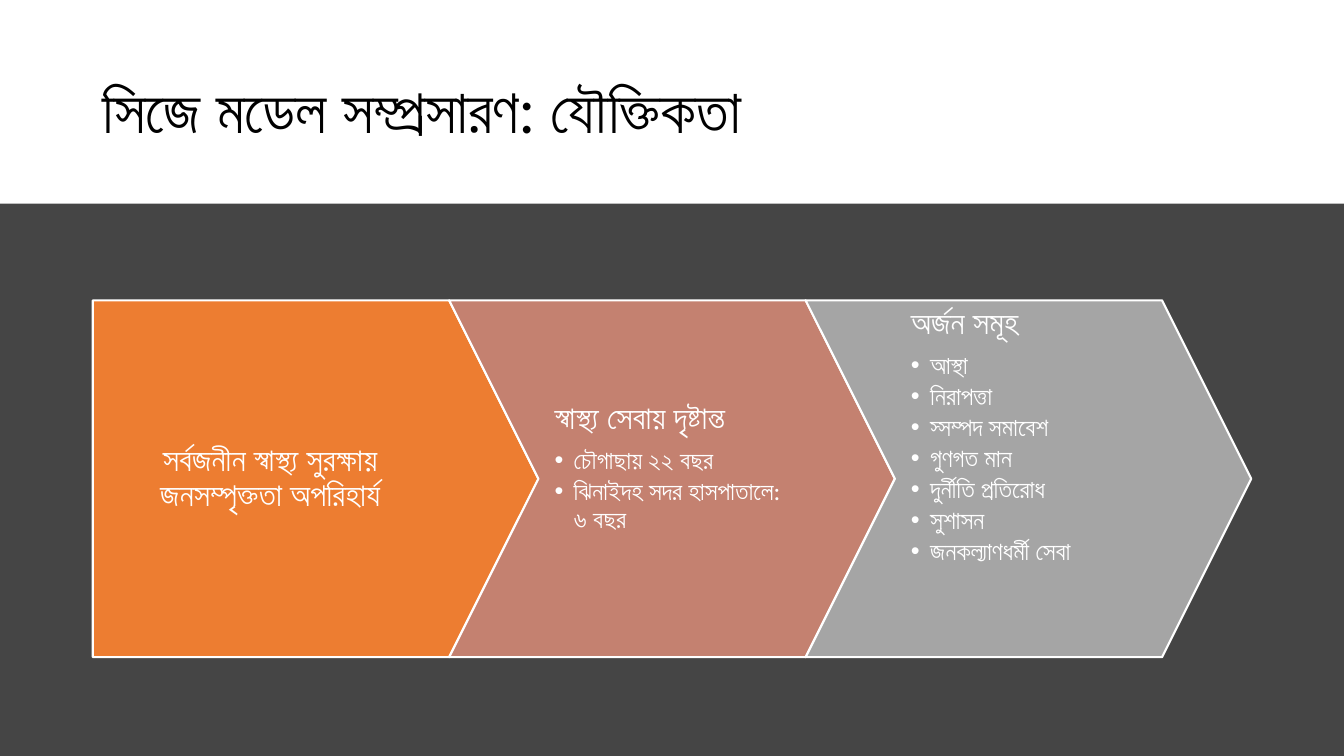
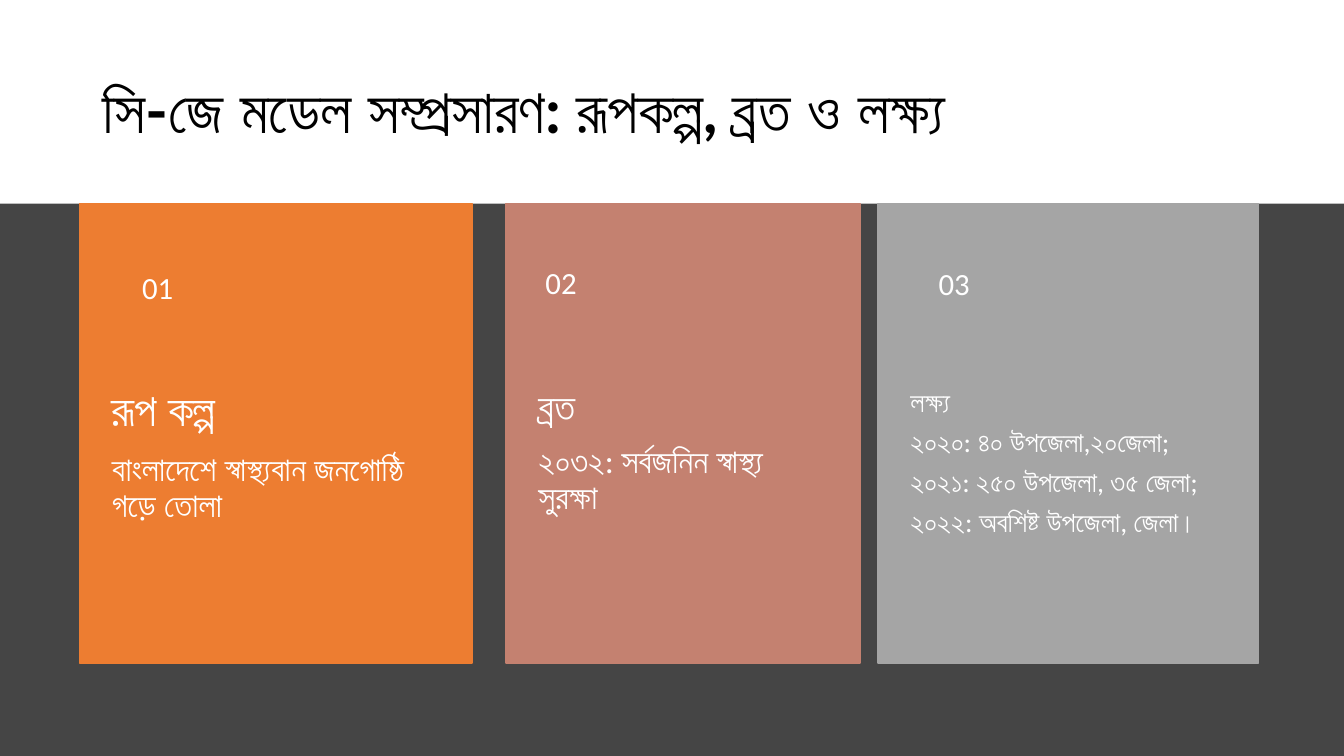
from dataclasses import dataclass

from lxml import etree
from pptx import Presentation
from pptx import util as u
from pptx.dml.color import RGBColor
from pptx.enum import shapes, text
from pptx.oxml.ns import qn

WHITE, BLACK, CHARCOAL = "FFFFFF", "000000", "454545"
ORANGE, ROSE, GRAY = "ED7D31", "C48170", "A5A5A5"
TITLE_FONT, BODY_FONT = "Lato", "Calibri"
TITLE_BOX = (0.92, 0.4, 11.5, 1.45)
BAND_BOX = (0, -0.01, 13.33, 2.03)
LINE_SPACING = 0.9

ARROW_LEFT, ARROW_TOP, ARROW_WIDTH, ARROW_HEIGHT = 0.92, 2.98, 4.42, 3.54
ARROW_POINT = 0.25
ARROW_STEP = ARROW_WIDTH - ARROW_POINT * ARROW_HEIGHT
CARD_TOP, CARD_HEIGHT = 2.02, 4.56
CARD_INSETS = (0.32, 1.83, 0.32, 0.36)
NUMBER_INSETS = (0.32, 0.18, 0.32, 0.18)
NUMBER_SIZE = (3.2, 0.85)


@dataclass(frozen=True)
class Line:
    words: str
    size: float
    bold: bool = False
    bullet: bool = False
    centered: bool = False


@dataclass(frozen=True)
class Arrow:
    preset: shapes.MSO_SHAPE
    color: str
    insets: tuple[float, float, float, float]
    lines: list[Line]
    anchor: text.MSO_ANCHOR = text.MSO_ANCHOR.TOP


@dataclass(frozen=True)
class Card:
    left: float
    width: float
    color: str
    number: str
    number_left: float
    number_top: float
    lines: list[Line]


def bullets(*items: str) -> list[Line]:
    return [Line(item, 18, bullet=True) for item in items]


ARROWS = [
    Arrow(shapes.MSO_SHAPE.PENTAGON, ORANGE, (0.16, 0.06, 0.62, 0.06),
          [Line("সর্বজনীন স্বাস্থ্য সুরক্ষায় জনসম্পৃক্ততা অপরিহার্য", 23, centered=True)],
          text.MSO_ANCHOR.MIDDLE),
    Arrow(shapes.MSO_SHAPE.CHEVRON, ROSE, (0.16, 1.01, 0.16, 0.06),
          [Line("স্বাস্থ্য সেবায় দৃষ্টান্ত", 23),
           *bullets("চৌগাছায় ২২ বছর", "ঝিনাইদহ সদর হাসপাতালে: ৬ বছর")]),
    Arrow(shapes.MSO_SHAPE.CHEVRON, GRAY, (0.16, 0.06, 0.16, 0.06),
          [Line("অর্জন সমূহ", 23),
           *bullets("আস্থা", "নিরাপত্তা", "স্সম্পদ সমাবেশ", "গুণগত মান",
                    "দুর্নীতি প্রতিরোধ", "সুশাসন", "জনকল্যাণধর্মী সেবা")]),
]

CARDS = [
    Card(0.79, 3.89, ORANGE, "01", 1.09, 2.45,
         [Line("রূপ কল্প", 32), Line("বাংলাদেশে স্বাস্থ্যবান জনগোষ্ঠি গড়ে তোলা", 24)]),
    Card(5.02, 3.51, ROSE, "02", 5.09, 2.4,
         [Line("ব্রত", 28), Line("২০৩২: সর্বজনিন স্বাস্থ্য সুরক্ষা", 24)]),
    Card(8.71, 3.77, GRAY, "03", 8.99, 2.41,
         [Line("লক্ষ্য", 20, bold=True),
          Line("২০২০: ৪০ উপজেলা,২০জেলা;", 20),
          Line("২০২১: ২৫০ উপজেলা, ৩৫ জেলা;", 20),
          Line("২০২২: অবশিষ্ট উপজেলা, জেলা।", 20)]),
]


def rgb(color: str) -> RGBColor:
    return RGBColor.from_string(color)


def apply_format(target, values: dict) -> None:
    for name, value in values.items():
        setattr(target, name, value)


def inches(*lengths: float) -> list[u.Length]:
    return [u.Inches(length) for length in lengths]


def format_frame(frame, insets, anchor) -> None:
    left, top, right, bottom = inches(*insets)
    apply_format(frame, {
        "margin_left": left, "margin_top": top, "margin_right": right,
        "margin_bottom": bottom, "vertical_anchor": anchor, "word_wrap": True,
        "auto_size": text.MSO_AUTO_SIZE.NONE,
    })


def format_font(font, name: str, size: float, color: str, bold: bool) -> None:
    apply_format(font, {"name": name, "size": u.Pt(size), "bold": bold})
    font.color.rgb = rgb(color)


def add_bullet(paragraph) -> None:
    properties = paragraph._p.get_or_add_pPr()
    indent = u.Inches(0.19)
    properties.set("marL", str(indent))
    properties.set("indent", str(-indent))
    etree.SubElement(properties, qn("a:buFont")).set("typeface", "Arial")
    etree.SubElement(properties, qn("a:buChar")).set("char", "•")


def write_lines(frame, lines: list[Line]) -> None:
    for index, line in enumerate(lines):
        paragraph = frame.add_paragraph() if index else frame.paragraphs[0]
        if line.bullet:
            add_bullet(paragraph)
        gap = 0.15 if line.bullet else 0.35
        apply_format(paragraph, {
            "alignment": text.PP_ALIGN.CENTER if line.centered else text.PP_ALIGN.LEFT,
            "line_spacing": LINE_SPACING,
            "space_after": u.Pt(gap * line.size),
        })
        run = paragraph.add_run()
        run.text = line.words
        format_font(run.font, BODY_FONT, line.size, WHITE, line.bold)


def add_filled_shape(slide, preset, box, fill: str, outline: str | None = None,
                     outline_width: float = 1):
    shape = slide.shapes.add_shape(preset, *inches(*box))
    shape.shadow.inherit = False
    shape.fill.solid()
    shape.fill.fore_color.rgb = rgb(fill)
    if outline:
        shape.line.color.rgb = rgb(outline)
        shape.line.width = u.Pt(outline_width)
    else:
        shape.line.fill.background()
    return shape


def add_titled_slide(presentation, words: str, bold: bool = False):
    """Add a slide with the white band behind its title."""
    slide = presentation.slides.add_slide(presentation.slide_layouts[5])
    title = slide.shapes.title
    band = add_filled_shape(slide, shapes.MSO_SHAPE.RECTANGLE, BAND_BOX, WHITE)
    title._element.addprevious(band._element)
    apply_format(title, dict(zip(("left", "top", "width", "height"), inches(*TITLE_BOX))))
    format_frame(title.text_frame, (0.1, 0.05, 0.1, 0.05), text.MSO_ANCHOR.MIDDLE)
    paragraph = title.text_frame.paragraphs[0]
    apply_format(paragraph, {"alignment": text.PP_ALIGN.LEFT, "line_spacing": LINE_SPACING})
    run = paragraph.add_run()
    run.text = words
    format_font(run.font, TITLE_FONT, 44, BLACK, bold)
    return slide


def add_arrow(slide, index: int, arrow: Arrow) -> None:
    box = (ARROW_LEFT + index * ARROW_STEP, ARROW_TOP, ARROW_WIDTH, ARROW_HEIGHT)
    shape = add_filled_shape(slide, arrow.preset, box, arrow.color, WHITE, 1.5)
    shape.adjustments[0] = ARROW_POINT
    format_frame(shape.text_frame, arrow.insets, arrow.anchor)
    write_lines(shape.text_frame, arrow.lines)


def add_card(slide, card: Card) -> None:
    shape = add_filled_shape(slide, shapes.MSO_SHAPE.RECTANGLE,
                             (card.left, CARD_TOP, card.width, CARD_HEIGHT),
                             card.color, card.color)
    format_frame(shape.text_frame, CARD_INSETS, text.MSO_ANCHOR.TOP)
    write_lines(shape.text_frame, card.lines)
    number = slide.shapes.add_textbox(
        *inches(card.number_left, card.number_top, *NUMBER_SIZE))
    format_frame(number.text_frame, NUMBER_INSETS, text.MSO_ANCHOR.MIDDLE)
    write_lines(number.text_frame, [Line(card.number, 22)])


def main() -> None:
    presentation = Presentation()
    presentation.slide_width, presentation.slide_height = inches(13.33, 7.5)
    background = presentation.slide_master.background.fill
    background.solid()
    background.fore_color.rgb = rgb(CHARCOAL)

    rationale = add_titled_slide(presentation, "সিজে মডেল সম্প্রসারণ: যৌক্তিকতা")
    for index, arrow in enumerate(ARROWS):
        add_arrow(rationale, index, arrow)

    goals = add_titled_slide(
        presentation, "সি-জে মডেল সম্প্রসারণ: রূপকল্প, ব্রত ও লক্ষ্য", bold=True)
    for card in CARDS:
        add_card(goals, card)

    presentation.save("out.pptx")


if __name__ == "__main__":
    main()
